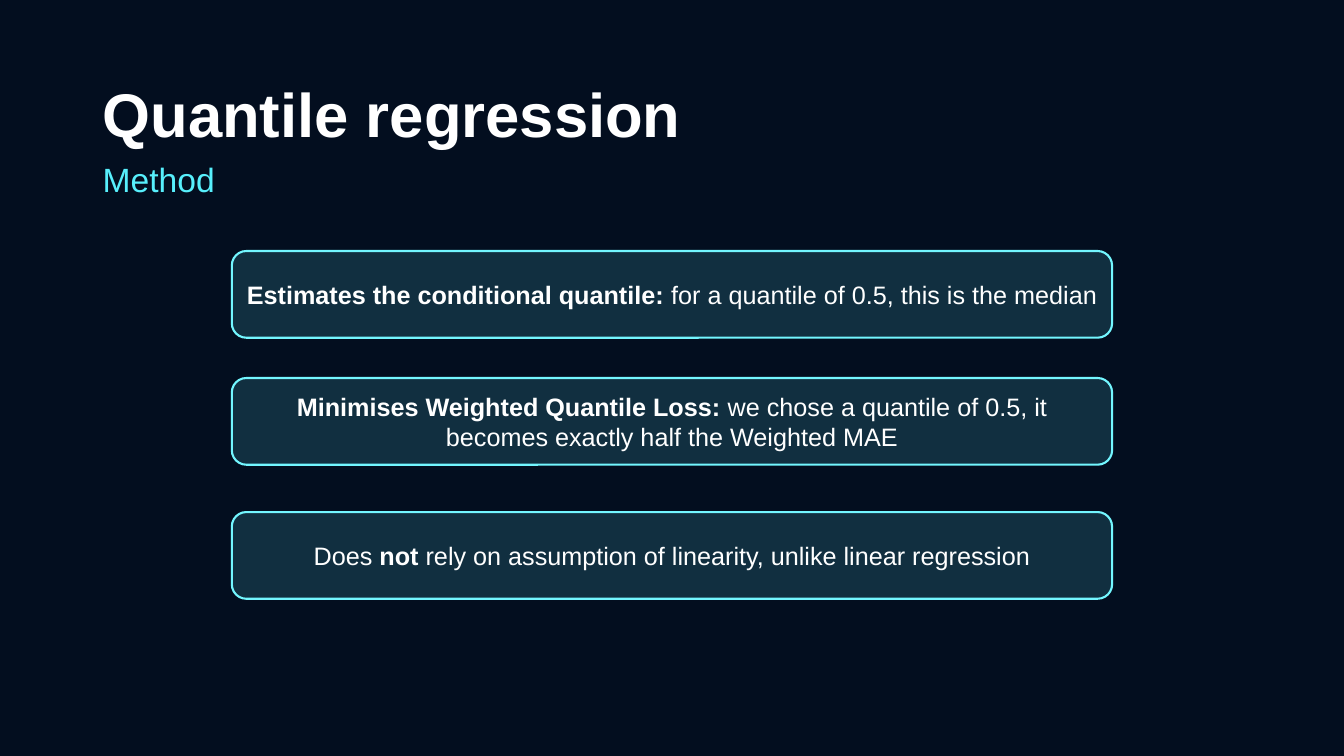
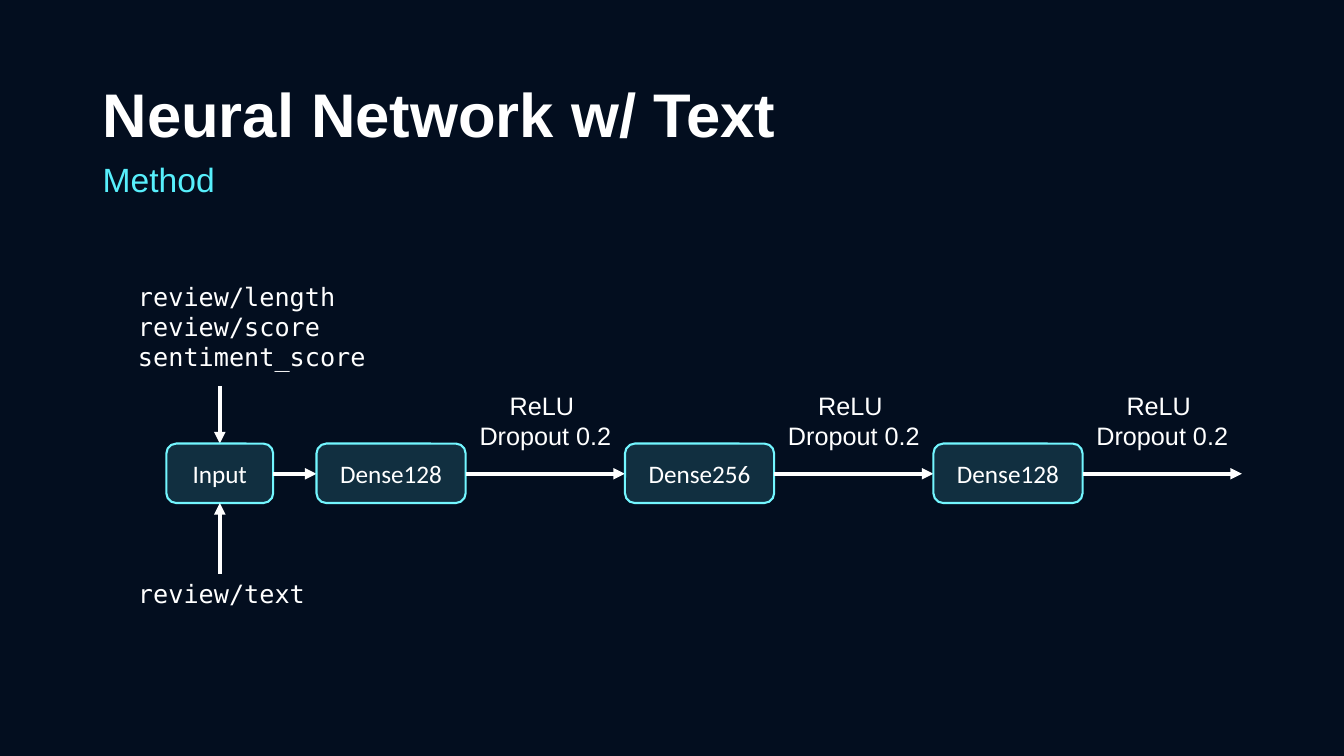
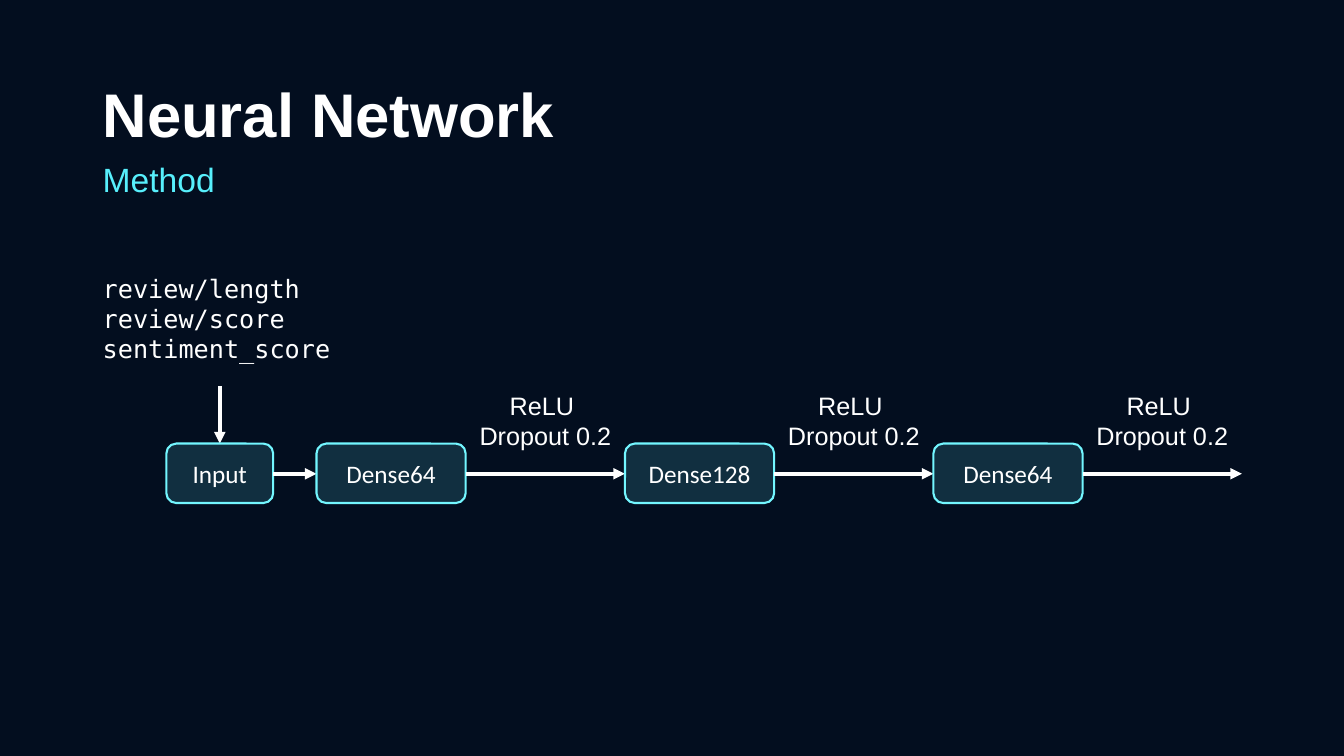
from pptx import Presentation
from pptx.dml.color import RGBColor
from pptx.enum.shapes import MSO_CONNECTOR as Link, MSO_SHAPE as Form
from pptx.enum.text import MSO_ANCHOR as Anchor, PP_ALIGN as Align
from pptx.oxml.ns import qn
from pptx.util import Inches, Pt
from lxml.etree import SubElement as add_node

# Shared look
NIGHT = RGBColor(0x03, 0x0E, 0x1F)
WHITE = RGBColor(0xFF, 0xFF, 0xFF)
AQUA = RGBColor(0x57, 0xEF, 0xFC)
GLASS = RGBColor(0x64, 0xEC, 0xFF)
EDGE = RGBColor(0x73, 0xF6, 0xFF)
SANS, BODY, MONO = "Arial", "Calibri", "DejaVu Sans Mono"
WIDE, HIGH = Inches(13.333), Inches(7.5)

# Layer chain, in percent of the slide's width and height
IN_X, IN_W = 12.38, 7.95
LAYER_X, LAYER_W, PITCH = 23.55, 11.1, 22.95
NODE_Y, NODE_H = 58.67, 7.87
FLOW_Y = 62.67
LABEL_W = 19.58


def across(share):
    return round(WIDE * share / 100)


def down(share):
    return round(HIGH * share / 100)


def frame(x, y, w, h):
    return across(x), down(y), across(w), down(h)


def write(shape, lines, size=18, font=SANS, color=WHITE,
          align=Align.LEFT, anchor=Anchor.TOP, space=None):
    """Each line is a list of (words, bold) runs."""
    text = shape.text_frame
    text.word_wrap = True
    text.vertical_anchor = anchor
    for i, line in enumerate(lines):
        para = text.add_paragraph() if i else text.paragraphs[0]
        para.alignment = align
        para.line_spacing = space
        for words, bold in line:
            run = para.add_run()
            run.text = words
            run.font.name, run.font.size = font, Pt(size)
            run.font.bold = bold
            run.font.color.rgb = color


def plain(*lines):
    return [[(line, False)] for line in lines]


def label(slide, place, lines, **style):
    write(slide.shapes.add_textbox(*frame(*place)), lines, **style)


def card(slide, place, lines, font=SANS):
    box = slide.shapes.add_shape(Form.ROUNDED_RECTANGLE, *frame(*place))
    box.shadow.inherit = False
    box.fill.solid()
    box.fill.fore_color.rgb = GLASS
    tint = box.element.spPr.find(qn("a:solidFill"))[0]
    add_node(tint, qn("a:alpha"), val="15000")
    box.line.color.rgb = EDGE
    box.line.width = Pt(1.5)
    write(box, lines, font=font, align=Align.CENTER, anchor=Anchor.MIDDLE)


def arrow(slide, x1, y1, x2, y2):
    link = slide.shapes.add_connector(
        Link.STRAIGHT, across(x1), down(y1), across(x2), down(y2))
    link.line.color.rgb = WHITE
    link.line.width = Pt(2.75)
    props = link.element.spPr
    add_node(props.find(qn("a:ln")), qn("a:tailEnd"), type="triangle")
    add_node(props, qn("a:effectLst"))


def start(deck, title):
    """Add a slide with its heading."""
    slide = deck.slides.add_slide(deck.slide_layouts[6])
    label(slide, (6.9, 7.2, 86.25, 13.47), [[(title, True)]],
          size=44, anchor=Anchor.BOTTOM, space=0.9)
    label(slide, (6.9, 20.93, 66.8, 6.93), plain("Method"),
          size=24, color=AQUA, space=0.9)
    return slide


def network(slide, layers, list_x, list_y):
    # Input and its features
    mid = IN_X + IN_W / 2
    label(slide, (list_x, list_y, LABEL_W, 13.47),
          plain("review/length", "review/score", "sentiment_score"), font=MONO)
    arrow(slide, mid, 51.07, mid, NODE_Y)
    card(slide, (IN_X, NODE_Y, IN_W, NODE_H), plain("Input"), BODY)
    arrow(slide, IN_X + IN_W, FLOW_Y, LAYER_X, FLOW_Y)

    # Dense layers, each with its outgoing step
    for i, name in enumerate(layers):
        left = LAYER_X + i * PITCH
        right, after = left + LAYER_W, left + PITCH
        card(slide, (left, NODE_Y, LAYER_W, NODE_H), plain(name), BODY)
        arrow(slide, right, FLOW_Y, after, FLOW_Y)
        label(slide, ((right + after - LABEL_W) / 2, 50.93, LABEL_W, 9.47),
              plain("ReLU ", "Dropout 0.2"), align=Align.CENTER)


def main():
    deck = Presentation()
    deck.slide_width, deck.slide_height = WIDE, HIGH
    back = deck.slide_master.background.fill
    back.solid()
    back.fore_color.rgb = NIGHT

    # Quantile regression
    slide = start(deck, "Quantile regression")
    points = [
        (33.2, [("Estimates the conditional quantile: ", True),
                ("for a quantile of 0.5, this is the median", False)]),
        (50, [("Minimises Weighted Quantile Loss: ", True),
              ("we chose a quantile of 0.5, it becomes exactly half "
               "the Weighted MAE", False)]),
        (67.73, [("Does ", False), ("not", True),
                 (" rely on assumption of linearity, unlike linear "
                  "regression", False)]),
    ]
    for top, runs in points:
        card(slide, (17.25, top, 65.5, 11.47), [runs])

    # Network with the review text as a second input
    slide = start(deck, "Neural Network w/ Text")
    list_x = 9.53
    network(slide, ["Dense128", "Dense256", "Dense128"], list_x, 36.53)
    label(slide, (list_x, 75.87, LABEL_W, 5.33), plain("review/text"), font=MONO)
    mid = IN_X + IN_W / 2
    arrow(slide, mid, 75.87, mid, NODE_Y + NODE_H)

    # Network on features alone
    slide = start(deck, "Neural Network")
    network(slide, ["Dense64", "Dense128", "Dense64"], 6.9, 35.47)

    deck.save("out.pptx")


if __name__ == "__main__":
    main()
